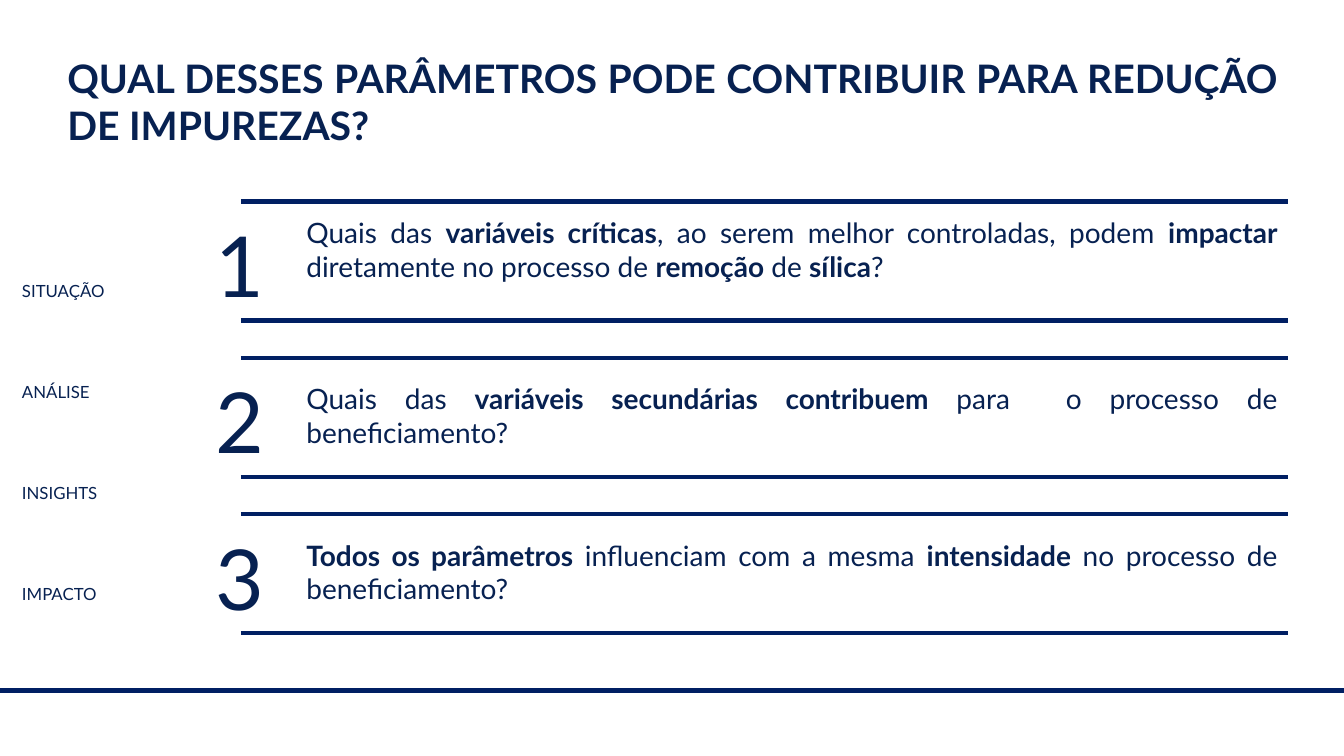
import pptx
import pptx.dml.color
import pptx.enum.shapes
import pptx.enum.text
import pptx.oxml
import pptx.util

Inches = pptx.util.Inches
Pt = pptx.util.Pt
Align = pptx.enum.text.PP_ALIGN

RULE_BLUE = pptx.dml.color.RGBColor(0x00, 0x1F, 0x63)
TEXT_BLUE = pptx.dml.color.RGBColor(0x07, 0x21, 0x51)

PAGE_WIDTH, PAGE_HEIGHT = 13.33, 7.5
RULE_LEFT, RULE_RIGHT = 2.39, 12.77
FIRST_ROW_TOP, ROW_PITCH, ROW_HEIGHT = 2, 1.55, 1.18

TITLE = "**QUAL DESSES PARÂMETROS PODE CONTRIBUIR PARA REDUÇÃO DE IMPUREZAS?**"
STAGES = ["SITUAÇÃO", "ANÁLISE", "INSIGHTS", "IMPACTO"]
# Each question: text with bold between double asterisks, offset below the upper rule, box height
QUESTIONS = [
    ("Quais das **variáveis críticas**, ao serem melhor controladas, podem **impactar**"
     " diretamente no processo de **remoção** de **sílica**?", 0.09, 1.11),
    ("Quais das **variáveis secundárias contribuem **para  o processo de beneficiamento?",
     0.19, 0.77),
    ("**Todos os parâmetros **influenciam com a mesma **intensidade** no processo de"
     " beneficiamento?", 0.19, 0.77),
]


class Page:
    font_name = "Lato"

    def __init__(self, deck):
        self.slide = deck.slides.add_slide(deck.slide_layouts[6])

    def rule(self, left, right, top):
        line = self.slide.shapes.add_connector(
            pptx.enum.shapes.MSO_CONNECTOR.STRAIGHT,
            Inches(left), Inches(top), Inches(right), Inches(top))
        line.line.color.rgb = RULE_BLUE
        line.line.width = Pt(3)
        line._element.spPr.append(pptx.oxml.parse_xml(
            '<a:effectLst xmlns:a="http://schemas.openxmlformats.org/drawingml/2006/main"/>'))

    def text(self, left, top, width, height, paragraphs, size, align=Align.LEFT, gap=0):
        """Add a text box; double asterisks switch bold, gap is the points between paragraphs."""
        box = self.slide.shapes.add_textbox(
            Inches(left), Inches(top), Inches(width), Inches(height))
        frame = box.text_frame
        frame.word_wrap = True
        for index, words in enumerate(paragraphs):
            para = frame.add_paragraph() if index else frame.paragraphs[0]
            para.alignment = align
            if index:
                para.space_before = Pt(gap)
            for part, piece in enumerate(words.split("**")):
                if piece:
                    self.span(para, piece, size, bold=part % 2 == 1)

    def span(self, para, words, size, bold):
        span = para.add_run()
        span.text = words
        span.font.color.rgb = TEXT_BLUE
        for name, value in {"name": self.font_name, "size": Pt(size), "bold": bold}.items():
            setattr(span.font, name, value)


def main():
    deck = pptx.Presentation()
    deck.slide_width = Inches(PAGE_WIDTH)
    deck.slide_height = Inches(PAGE_HEIGHT)
    page = Page(deck)

    page.rule(0, PAGE_WIDTH, 6.85)
    page.text(0.12, 2.74, 1.33, 3.33, STAGES, 12, gap=57.6)
    page.text(0.57, 0.49, 12.2, 1.04, [TITLE], 28, Align.JUSTIFY)

    for index, (question, offset, height) in enumerate(QUESTIONS):
        top = FIRST_ROW_TOP + index * ROW_PITCH
        page.rule(RULE_LEFT, RULE_RIGHT, top)
        page.rule(RULE_LEFT, RULE_RIGHT, top + ROW_HEIGHT)
        page.text(2.94, top + offset, 9.83, height, [question], 20, Align.JUSTIFY)
        page.text(2.04, top + 0.07, 0.32, 1.11, [str(index + 1)], 60)

    deck.save("out.pptx")


if __name__ == "__main__":
    main()
